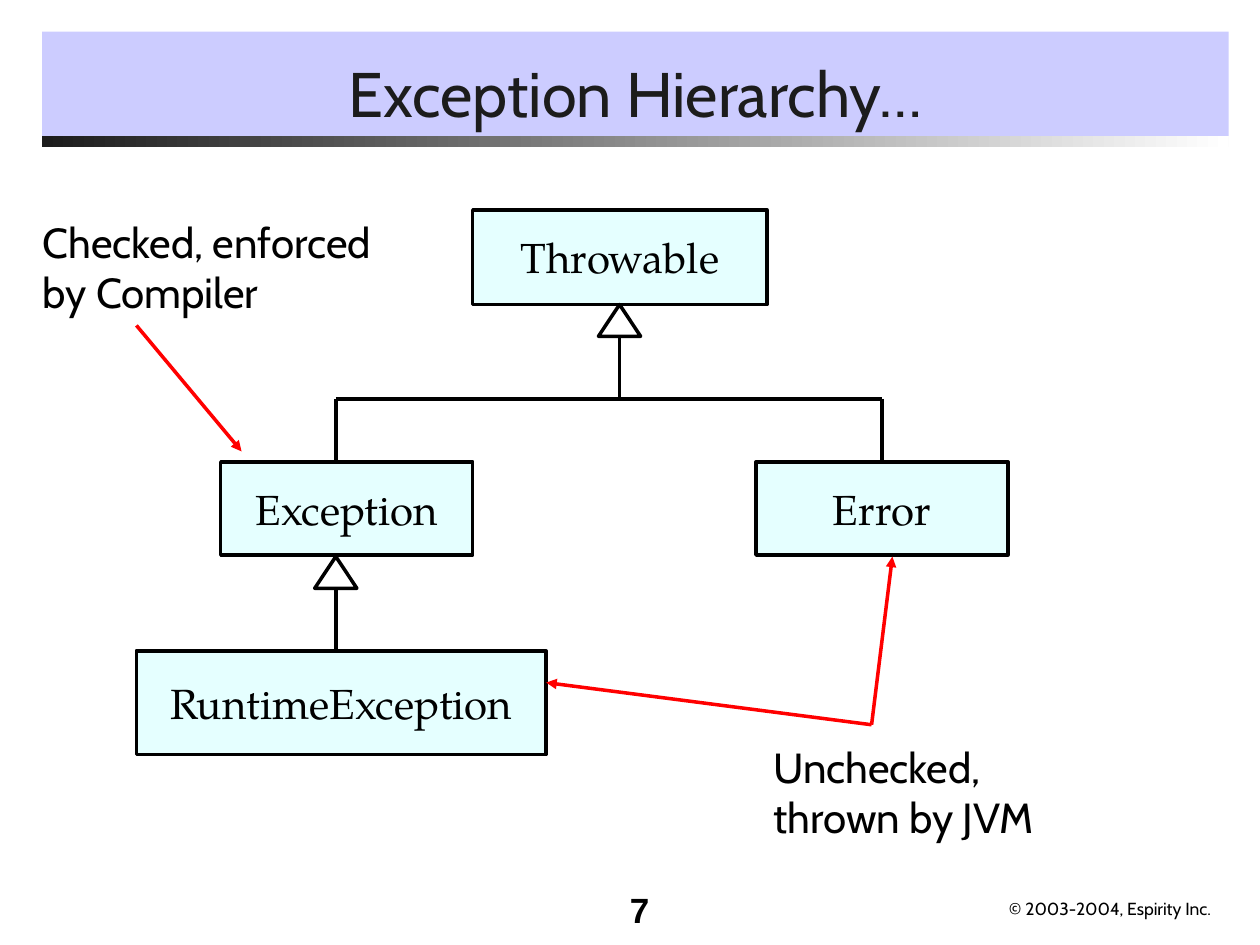
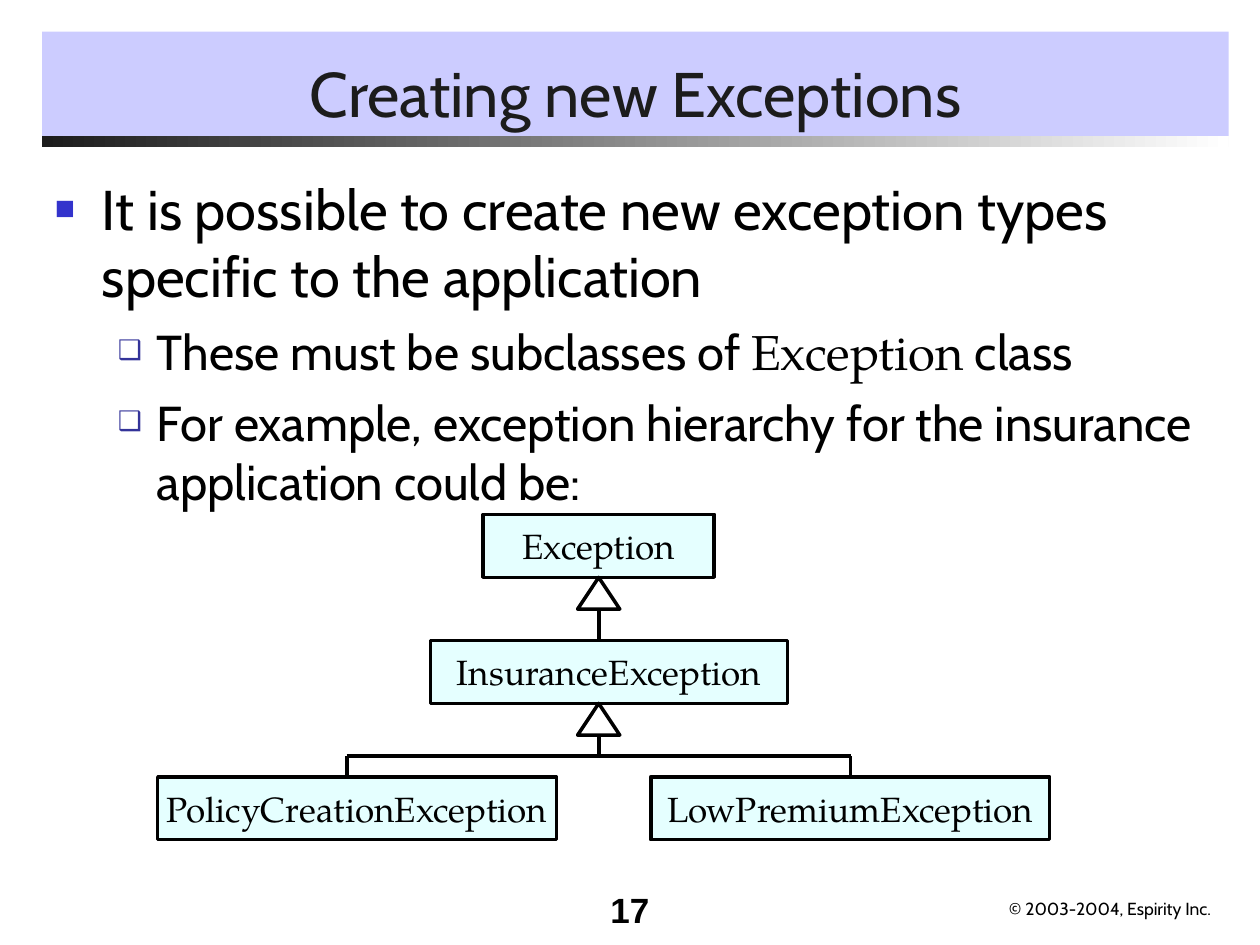
from dataclasses import dataclass

import lxml.etree
import pptx
import pptx.dml.color
import pptx.enum.shapes
import pptx.enum.text
import pptx.oxml.ns
import pptx.presentation
import pptx.shapes.base
import pptx.slide
import pptx.text.text
import pptx.util

Cm, Pt = pptx.util.Cm, pptx.util.Pt
Shape = pptx.enum.shapes.MSO_SHAPE
Align = pptx.enum.text.PP_ALIGN
Anchor = pptx.enum.text.MSO_ANCHOR
AutoSize = pptx.enum.text.MSO_AUTO_SIZE

SANS, SERIF, NUMBER_FONT = "Cabin", "TeX Gyre Pagella", "Arial"
BLACK, WHITE, INK, RED = "000000", "FFFFFF", "1C1C1C", "FF0000"
BAND, CLASS_FILL = "CCCCFF", "CCFFFF"
LINE_WIDTH = Pt(2)
BAND_LEFT, BAND_TOP, BAND_WIDTH, BAND_HEIGHT = 0.85, 0.64, 23.92, 2.11
TRIANGLE_WIDTH, TRIANGLE_HEIGHT = 0.85, 0.64
TITLE_AND_BODY, TITLE_ONLY = 1, 5


@dataclass(frozen=True)
class Frame:
    """A rectangle in centimetres."""
    left: float
    top: float
    width: float
    height: float

    def lengths(self) -> tuple:
        return Cm(self.left), Cm(self.top), Cm(self.width), Cm(self.height)


@dataclass(frozen=True)
class ClassBox:
    name: str
    frame: Frame


@dataclass(frozen=True)
class Inheritance:
    """A triangle under the parent, and lines to each child from a bar."""
    parent_x: float
    parent_bottom: float
    bar_y: float
    child_xs: tuple[float, ...]
    child_top: float


@dataclass(frozen=True)
class Arrow:
    start: tuple[float, float]
    end: tuple[float, float]


@dataclass(frozen=True)
class BulletStyle:
    symbol: str
    color: str
    percent: int
    indent: float
    hanging: float
    size: int
    space_before: int


BULLETS = (
    BulletStyle("■", "3333CC", 60, 0.95, 0.95, 32, 8),
    BulletStyle("❑", "333399", 55, 2.06, 0.79, 28, 7),
)


def rgb(color: str) -> pptx.dml.color.RGBColor:
    return pptx.dml.color.RGBColor.from_string(color)


def add_element(parent, tag: str, **attributes: str):
    element = lxml.etree.SubElement(parent, pptx.oxml.ns.qn(tag))
    for key, value in attributes.items():
        element.set(key, value)
    return element


def set_font(para, name: str, size: int, color: str = BLACK, bold: bool = False) -> None:
    para.font.name = name
    para.font.size = Pt(size)
    para.font.bold = bold
    para.font.color.rgb = rgb(color)


def place(shape: pptx.shapes.base.BaseShape, frame: Frame) -> None:
    shape.left, shape.top, shape.width, shape.height = frame.lengths()


def add_preset(page: pptx.slide.Slide, preset, frame: Frame):
    shape = page.shapes.add_shape(preset, *frame.lengths())
    shape.shadow.inherit = False
    return shape


def add_text(page: pptx.slide.Slide, frame: Frame, lines: tuple[str, ...], size: int,
             name: str = SANS, bold: bool = False, align=Align.LEFT,
             wrap: bool = False) -> None:
    box = page.shapes.add_textbox(*frame.lengths())
    box.text_frame.word_wrap = wrap
    box.text_frame.auto_size = AutoSize.NONE if wrap else AutoSize.SHAPE_TO_FIT_TEXT
    box.text_frame.text = "\n".join(lines)
    for para in box.text_frame.paragraphs:
        para.alignment = align
        set_font(para, name, size, bold=bold)


def add_line(page: pptx.slide.Slide, start: tuple[float, float], end: tuple[float, float],
             color: str = BLACK, arrow: bool = False) -> None:
    line = page.shapes.add_connector(
        pptx.enum.shapes.MSO_CONNECTOR.STRAIGHT,
        *(Cm(value) for value in (*start, *end)))
    line.line.color.rgb = rgb(color)
    line.line.width = LINE_WIDTH
    if arrow:
        add_element(line.line._get_or_add_ln(), "a:tailEnd", type="triangle")
    add_element(line._element.spPr, "a:effectLst")


def add_class_box(page: pptx.slide.Slide, class_box: ClassBox, size: int) -> None:
    box = add_preset(page, Shape.RECTANGLE, class_box.frame)
    box.fill.solid()
    box.fill.fore_color.rgb = rgb(CLASS_FILL)
    fill_color = box._element.spPr.find(".//" + pptx.oxml.ns.qn("a:srgbClr"))
    add_element(fill_color, "a:alpha", val="50000")
    box.line.color.rgb = rgb(BLACK)
    box.line.width = LINE_WIDTH
    box.text_frame.word_wrap = False
    box.text_frame.vertical_anchor = Anchor.MIDDLE
    box.text_frame.text = class_box.name
    para = box.text_frame.paragraphs[0]
    para.alignment = Align.CENTER
    set_font(para, SERIF, size)


def add_inheritance(page: pptx.slide.Slide, link: Inheritance) -> None:
    triangle = add_preset(page, Shape.ISOSCELES_TRIANGLE, Frame(
        link.parent_x - TRIANGLE_WIDTH / 2, link.parent_bottom,
        TRIANGLE_WIDTH, TRIANGLE_HEIGHT))
    triangle.fill.background()
    triangle.line.color.rgb = rgb(BLACK)
    triangle.line.width = LINE_WIDTH
    base = link.parent_bottom + TRIANGLE_HEIGHT
    add_line(page, (link.parent_x, base), (link.parent_x, link.bar_y))
    if link.bar_y < link.child_top:
        for x in link.child_xs:
            add_line(page, (x, link.bar_y), (x, link.child_top))
        add_line(page, (min(link.child_xs), link.bar_y), (max(link.child_xs), link.bar_y))


def add_diagram(page: pptx.slide.Slide, boxes: tuple[ClassBox, ...],
                links: tuple[Inheritance, ...], size: int) -> None:
    for box in boxes:
        add_class_box(page, box, size)
    for link in links:
        add_inheritance(page, link)


def add_page(deck: pptx.presentation.Presentation, layout: int, title_text: str,
             number: int) -> pptx.slide.Slide:
    """Add a page with its title band, gradient rule and footer."""
    page = deck.slides.add_slide(deck.slide_layouts[layout])
    title = page.shapes.title
    place(title, Frame(BAND_LEFT, BAND_TOP, BAND_WIDTH, BAND_HEIGHT))
    title.fill.solid()
    title.fill.fore_color.rgb = rgb(BAND)
    title.text_frame.text = title_text
    title.text_frame.vertical_anchor = Anchor.BOTTOM
    title.text_frame.auto_size = AutoSize.NONE
    title.text_frame.paragraphs[0].alignment = Align.CENTER
    set_font(title.text_frame.paragraphs[0], SANS, 36, INK)

    rule = add_preset(page, Shape.RECTANGLE,
                      Frame(BAND_LEFT, BAND_TOP + BAND_HEIGHT, BAND_WIDTH, 0.21))
    rule.fill.gradient()
    rule.fill.gradient_angle = 0
    for stop, color in zip(rule.fill.gradient_stops, (INK, WHITE)):
        stop.color.rgb = rgb(color)
    rule.line.fill.background()

    add_text(page, Frame(11.22, 17.78, 2.12, 1.27), (str(number),), 20,
             NUMBER_FONT, bold=True, align=Align.RIGHT, wrap=True)
    add_text(page, Frame(20.09, 17.98, 4.7, 0.69), ("© 2003-2004, Espirity Inc.",), 10)
    return page


def format_bullet(para, level: int) -> None:
    style = BULLETS[level]
    para.level = level
    para.space_before = Pt(style.space_before)
    properties = para._p.get_or_add_pPr()
    properties.set("marL", str(Cm(style.indent)))
    properties.set("indent", str(-Cm(style.hanging)))
    add_element(add_element(properties, "a:buClr"), "a:srgbClr", val=style.color)
    add_element(properties, "a:buSzPct", val=str(style.percent * 1000))
    add_element(properties, "a:buChar", char=style.symbol)
    set_font(para, SANS, style.size)


def build_hierarchy_page(deck: pptx.presentation.Presentation) -> None:
    page = add_page(deck, TITLE_ONLY, "Exception Hierarchy…", 7)
    boxes = (
        ClassBox("Throwable", Frame(9.53, 4.23, 5.93, 1.91)),
        ClassBox("Exception", Frame(4.45, 9.31, 5.08, 1.88)),
        ClassBox("Error", Frame(15.24, 9.31, 5.08, 1.88)),
        ClassBox("RuntimeException", Frame(2.75, 13.12, 8.26, 2.09)),
    )
    links = (
        Inheritance(12.49, 6.14, 8.04, (6.77, 17.78), 9.31),
        Inheritance(6.77, 11.22, 13.12, (6.77,), 13.12),
    )
    add_diagram(page, boxes, links, 24)
    add_text(page, Frame(15.34, 14.82, 6.27, 2.29), ("Unchecked,", "thrown by JVM"), 24)
    add_text(page, Frame(0.61, 4.23, 7.9, 2.29), ("Checked, enforced", "by Compiler"), 24)
    unchecked = (17.57, 14.61)
    for arrow in (
        Arrow((2.75, 6.56), (4.87, 9.1)),
        Arrow(unchecked, (17.99, 11.22)),
        Arrow(unchecked, (11.01, 13.76)),
    ):
        add_line(page, arrow.start, arrow.end, RED, arrow=True)


def build_new_exceptions_page(deck: pptx.presentation.Presentation) -> None:
    page = add_page(deck, TITLE_AND_BODY, "Creating new Exceptions", 17)
    body = page.placeholders[1]
    place(body, Frame(0.85, 3.39, 24.03, 13.76))
    frame = body.text_frame
    frame.auto_size = AutoSize.NONE
    points = (
        (0, ("It is possible to create new exception types specific to the application",)),
        (1, ("These must be subclasses of ", "Exception", " class")),
        (1, ("For example, exception hierarchy for the insurance application could be:",)),
    )
    for index, (level, parts) in enumerate(points):
        para = frame.add_paragraph() if index else frame.paragraphs[0]
        format_bullet(para, level)
        if index == 0:
            para.space_before = Pt(0)
        for part in parts:
            span = para.add_run()
            span.text = part
            if part == "Exception":
                span.font.name = SERIF

    boxes = (
        ClassBox("Exception", Frame(9.74, 10.37, 4.66, 1.27)),
        ClassBox("InsuranceException", Frame(8.68, 12.91, 7.2, 1.27)),
        ClassBox("PolicyCreationException", Frame(3.18, 15.66, 8.04, 1.27)),
        ClassBox("LowPremiumException", Frame(13.12, 15.66, 8.04, 1.27)),
    )
    links = (
        Inheritance(12.07, 11.64, 12.91, (12.07,), 12.91),
        Inheritance(12.07, 14.18, 15.24, (6.99, 17.15), 15.66),
    )
    add_diagram(page, boxes, links, 20)


def main() -> None:
    deck = pptx.Presentation()
    deck.slide_width, deck.slide_height = Cm(25.4), Cm(19.05)
    build_hierarchy_page(deck)
    build_new_exceptions_page(deck)
    deck.save("out.pptx")


if __name__ == "__main__":
    main()
